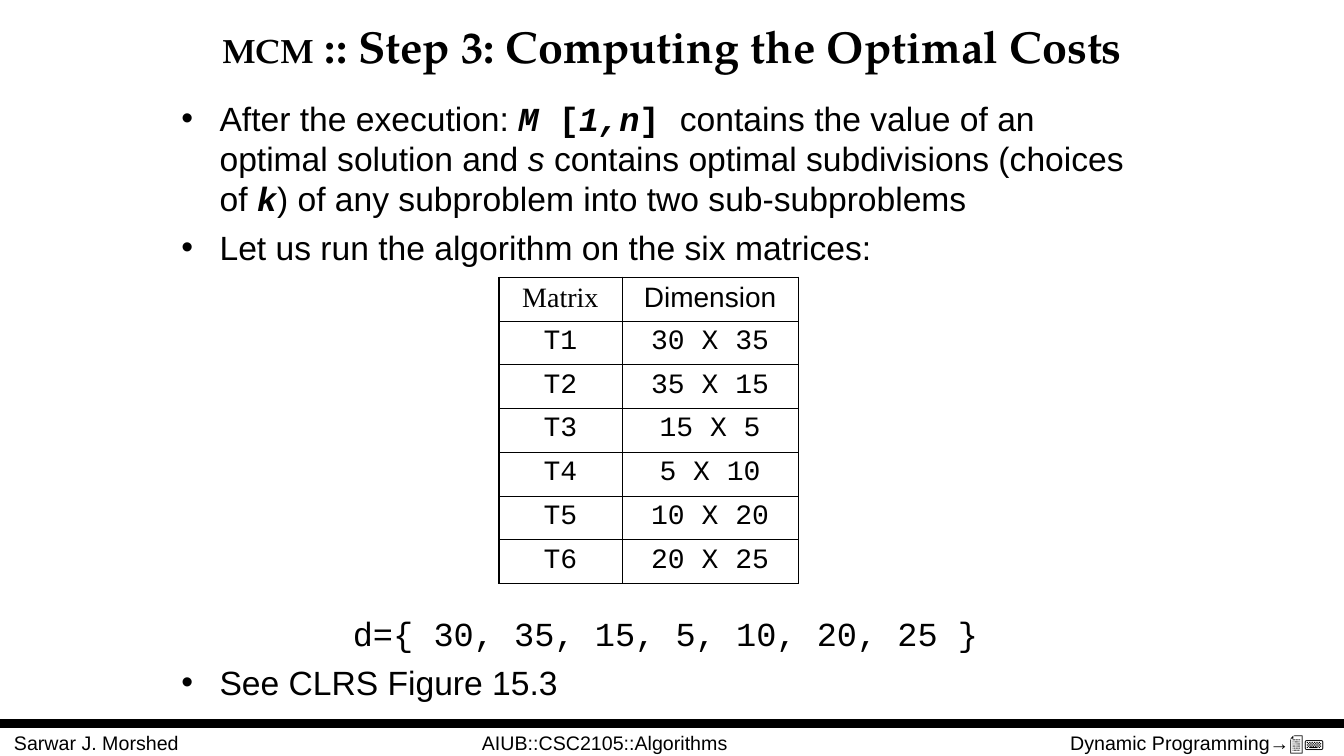
from dataclasses import dataclass

from lxml.etree import SubElement
from pptx import Presentation
from pptx.dml.color import RGBColor
from pptx.enum.shapes import MSO_CONNECTOR
from pptx.enum.text import MSO_ANCHOR, PP_ALIGN
from pptx.oxml.ns import qn
from pptx.util import Inches, Pt


@dataclass(frozen=True)
class Theme:
    ink: RGBColor = RGBColor(0, 0, 0)
    sans: str = "Arial"
    serif: str = "Times New Roman"
    mono: str = "Courier New"
    display: str = "TeX Gyre Pagella"
    title: int = 32
    body: int = 24
    cell: int = 20
    footer: int = 14
    gap: int = 6
    bar: int = 6
    outer: float = 1.08
    inner: float = 0.45


T = Theme()
WIDTH, HEIGHT = Inches(13.33), Inches(7.5)
HANG = round(WIDTH * 0.0285)

MONO = {"name": T.mono, "bold": True}
MONO_ITALIC = {**MONO, "italic": True}
INTRO = [
    [("After the execution: ", {}), ("M ", MONO_ITALIC), ("[", MONO),
     ("1,n", MONO_ITALIC), ("] ", MONO),
     ("contains the value of an optimal solution and ", {}),
     ("s ", {"italic": True}),
     ("contains optimal subdivisions (choices of ", {}), ("k", MONO_ITALIC),
     (") of any subproblem into two sub-subproblems", {})],
    [("Let us run the algorithm on the six matrices:", {})],
]
DIMENSIONS = [30, 35, 15, 5, 10, 20, 25]


def area(x, y, w, h):
    """Turn percentages of the slide into left, top, width and height."""
    return tuple(round(share * side / 100) for share, side in
                 zip((x, y, w, h), (WIDTH, HEIGHT, WIDTH, HEIGHT)))


def add_text(s, box, anchor=MSO_ANCHOR.TOP):
    tf = s.shapes.add_textbox(*box).text_frame
    tf.word_wrap = True
    tf.vertical_anchor = anchor
    return tf


def write(p, runs, size, font=T.sans, align=PP_ALIGN.LEFT):
    """Fill a paragraph with (text, format) runs over a common base format."""
    p.alignment = align
    for text, extra in runs:
        r = p.add_run()
        r.text = text
        r.font.color.rgb = T.ink
        for key, value in {"name": font, "size": Pt(size), **extra}.items():
            setattr(r.font, key, value)


def bullet(p):
    pPr = p._p.get_or_add_pPr()
    pPr.set("marL", str(HANG))
    pPr.set("indent", str(-HANG))
    SubElement(pPr, qn("a:buFont")).set("typeface", T.sans)
    SubElement(pPr, qn("a:buChar")).set("char", "•")


def title(s, box):
    tf = add_text(s, box, MSO_ANCHOR.MIDDLE)
    write(tf.paragraphs[0],
          [("MCM", {"size": Pt(T.body), "bold": True}),
           (" :: Step 3: Computing the Optimal Costs", {"bold": True})],
          T.title, T.display, PP_ALIGN.CENTER)


def introduction(s, box):
    tf = add_text(s, box)
    for i, runs in enumerate(INTRO):
        p = tf.add_paragraph() if i else tf.paragraphs[0]
        if i:
            p.space_before = Pt(T.gap)
        bullet(p)
        write(p, runs, T.body)


def border(cell, sides):
    """Draw the left, right, top and bottom lines of a cell, widths in points."""
    tcPr = cell._tc.get_or_add_tcPr()
    for i, (side, width) in enumerate(sides.items()):
        ln = tcPr.makeelement(qn(f"a:ln{side}"), {"w": str(Pt(width))})
        fill = SubElement(ln, qn("a:solidFill"))
        SubElement(fill, qn("a:srgbClr")).set("val", str(T.ink))
        tcPr.insert(i, ln)


def matrix_table(s, box):
    rows = [("Matrix", "Dimension")]
    rows += [(f"T{i}", f"{a} X {b}") for i, (a, b) in
             enumerate(zip(DIMENSIONS, DIMENSIONS[1:]), 1)]
    last = len(rows) - 1
    table = s.shapes.add_table(len(rows), 2, *box).table
    table.first_row = table.horz_banding = False
    for column, share in zip(table.columns, (0.41, 0.59)):
        column.width = round(box[2] * share)
    for i, row in enumerate(rows):
        table.rows[i].height = box[3] // len(rows)
        for j, text in enumerate(row):
            cell = table.cell(i, j)
            cell.fill.background()
            font = T.mono if i else (T.serif, T.sans)[j]
            write(cell.text_frame.paragraphs[0], [(text, {})],
                  T.cell, font, PP_ALIGN.CENTER)
            edges = {"L": j == 0, "R": j == 1, "T": i == 0, "B": i == last}
            border(cell, {side: T.outer if edge else T.inner
                          for side, edge in edges.items()})


def closing(s, box):
    tf = add_text(s, box)
    values = ", ".join(map(str, DIMENSIONS))
    write(tf.paragraphs[0], [(f"d={{ {values} }}", {})],
          T.body, T.mono, PP_ALIGN.CENTER)
    p = tf.add_paragraph()
    p.space_before = Pt(T.gap)
    bullet(p)
    write(p, [("See CLRS Figure 15.3", {})], T.body)


def footer(s, box):
    left, top, width, height = box
    bar = s.shapes.add_connector(MSO_CONNECTOR.STRAIGHT,
                                 left, top, left + width, top)
    bar.line.color.rgb = T.ink
    bar.line.width = Pt(T.bar)
    SubElement(bar._element.spPr, qn("a:effectLst"))
    parts = [
        ("Sarwar J. Morshed", 0.003, 0.18, PP_ALIGN.LEFT),
        ("AIUB::CSC2105::Algorithms", 0.292, 0.316, PP_ALIGN.CENTER),
        ("Dynamic Programming→📄⌨", 0.719, 0.274, PP_ALIGN.RIGHT),
    ]
    for text, start, share, align in parts:
        tf = add_text(s, (left + round(width * start), top + Inches(0.02),
                          round(width * share), height))
        write(tf.paragraphs[0], [(text, {})], T.footer, align=align)


def main():
    prs = Presentation()
    prs.slide_width, prs.slide_height = WIDTH, HEIGHT
    s = prs.slides.add_slide(prs.slide_layouts[6])
    footer(s, area(0, 95.73, 100, 6.93))
    title(s, area(12.9, 0.93, 74.27, 10.27))
    introduction(s, area(12.75, 12.27, 73.52, 23.73))
    matrix_table(s, area(37.13, 36.67, 22.28, 40.4))
    closing(s, area(12.75, 80.4, 73.52, 14.13))
    prs.save("out.pptx")


if __name__ == "__main__":
    main()
